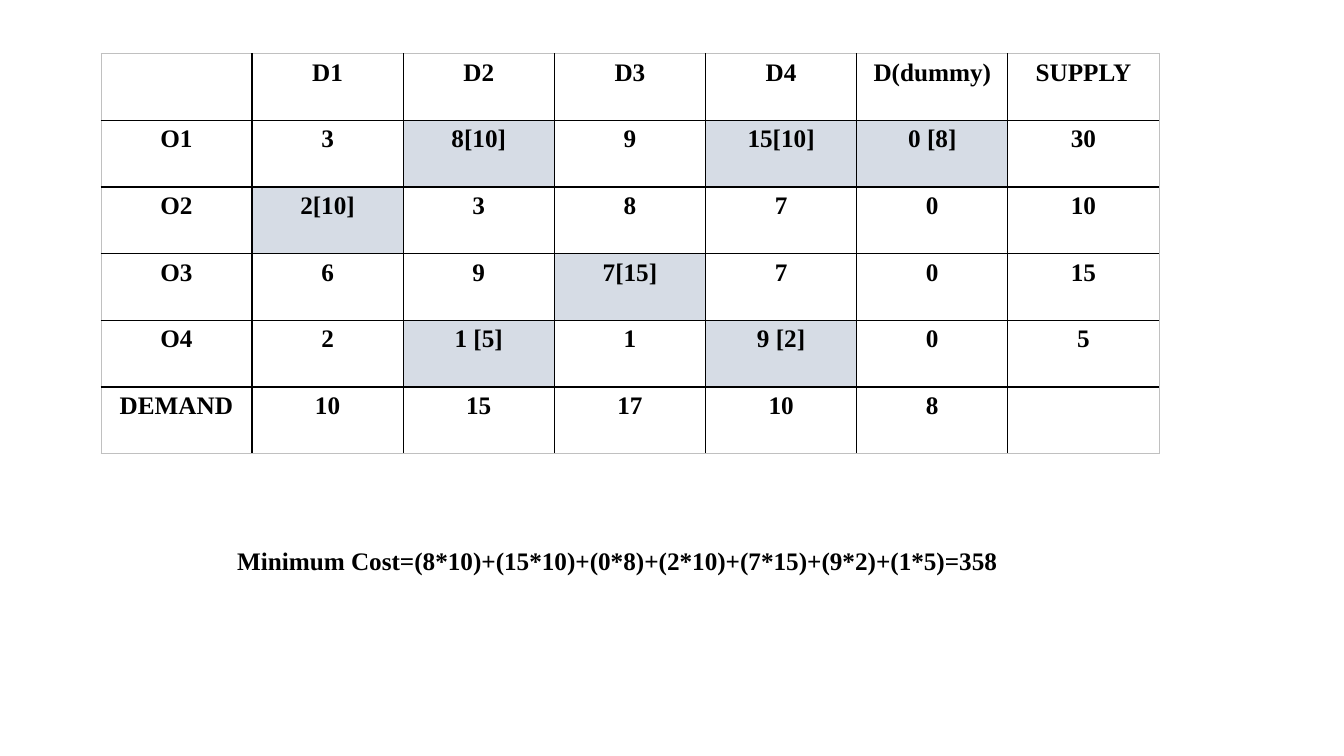
"""Build a slide showing a transportation allocation table and its minimum cost."""
from lxml.etree import SubElement
from pptx import Presentation
from pptx.dml.color import RGBColor
from pptx.enum.text import MSO_ANCHOR, MSO_AUTO_SIZE, PP_ALIGN
from pptx.oxml.ns import qn
from pptx.util import Cm, Pt

ROWS = [
    ("", "D1", "D2", "D3", "D4", "D(dummy)", "SUPPLY"),
    ("O1", "3", "8[10]", "9", "15[10]", "0 [8]", "30"),
    ("O2", "2[10]", "3", "8", "7", "0", "10"),
    ("O3", "6", "9", "7[15]", "7", "0", "15"),
    ("O4", "2", "1 [5]", "1", "9 [2]", "0", "5"),
    ("DEMAND", "10", "15", "17", "10", "8", ""),
]
COST = "Minimum Cost=(8*10)+(15*10)+(0*8)+(2*10)+(7*15)+(9*2)+(1*5)=358"
FONT, SIZE = "Times New Roman", 18
INK, ALLOCATED, FRAME = "000000", "D6DCE5", "C0C0C0"
LEFT, TOP, COLUMN_WIDTH, ROW_HEIGHT = 2.54, 1.35, 3.81, 1.68


def paint(target, color):
    target.rgb = RGBColor.from_string(color)


def write(frame, text):
    para = frame.paragraphs[0]
    para.alignment = PP_ALIGN.CENTER
    if text:
        span = para.add_run()
        span.text = text
        span.font.name, span.font.size, span.font.bold = FONT, Pt(SIZE), True
        paint(span.font.color, INK)


def draw_border(cell, side, outer):
    width, color = (0.25, FRAME) if outer else (1, INK)
    line = SubElement(cell._tc.get_or_add_tcPr(), qn(f"a:ln{side}"), w=str(Pt(width)))
    fill = SubElement(line, qn("a:solidFill"))
    SubElement(fill, qn("a:srgbClr"), val=color)


def add_allocation_table(page):
    row_count, column_count = len(ROWS), len(ROWS[0])
    table = page.shapes.add_table(
        row_count, column_count, Cm(LEFT), Cm(TOP),
        Cm(COLUMN_WIDTH * column_count), Cm(ROW_HEIGHT * row_count)).table
    table.first_row = table.horz_banding = False
    for column in table.columns:
        column.width = Cm(COLUMN_WIDTH)
    for r, values in enumerate(ROWS):
        table.rows[r].height = Cm(ROW_HEIGHT)
        for c, text in enumerate(values):
            cell = table.cell(r, c)
            cell.margin_left = cell.margin_right = Cm(0.28)
            cell.vertical_anchor = MSO_ANCHOR.TOP
            edges = {"L": c == 0, "R": c == column_count - 1,
                     "T": r == 0, "B": r == row_count - 1}
            for side, outer in edges.items():
                draw_border(cell, side, outer)
            if "[" in text:
                cell.fill.solid()
                paint(cell.fill.fore_color, ALLOCATED)
            else:
                cell.fill.background()
            write(cell.text_frame, text)


def add_cost(page):
    box = page.shapes.add_textbox(Cm(3.71), Cm(13.61), Cm(23.7), Cm(1.02))
    box.text_frame.word_wrap = True
    box.text_frame.auto_size = MSO_AUTO_SIZE.SHAPE_TO_FIT_TEXT
    write(box.text_frame, COST)


def main():
    deck = Presentation()
    deck.slide_width, deck.slide_height = Cm(33.87), Cm(19.05)
    page = deck.slides.add_slide(deck.slide_layouts[6])
    add_allocation_table(page)
    add_cost(page)
    deck.save("out.pptx")


if __name__ == "__main__":
    main()
